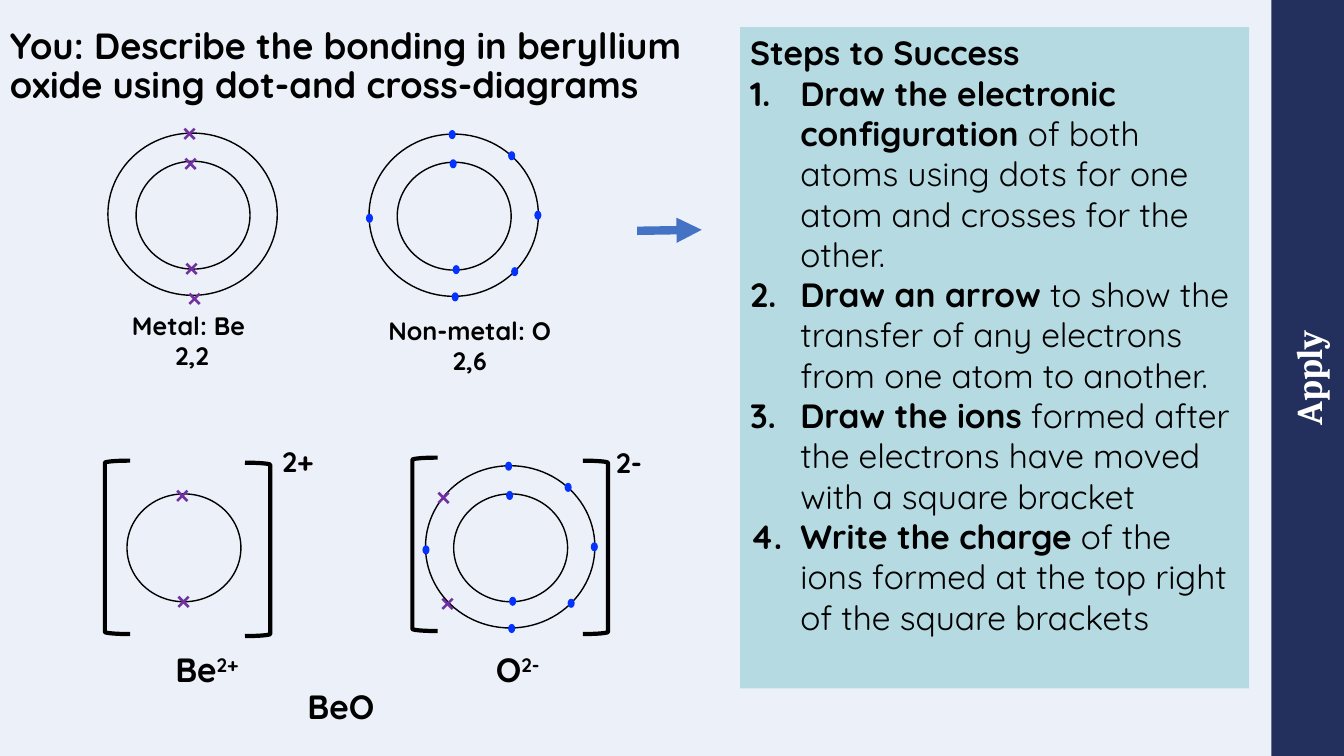
from dataclasses import dataclass

from lxml.etree import SubElement
from pptx import Presentation
from pptx.dml.color import RGBColor
from pptx.enum.shapes import MSO_CONNECTOR as Connector, MSO_SHAPE as Preset
from pptx.enum.text import MSO_ANCHOR as Anchor, MSO_AUTO_SIZE as AutoSize, PP_ALIGN as Align
from pptx.oxml.ns import qn
from pptx.util import Inches, Pt


@dataclass(frozen=True)
class Theme:
    ink: str = "000000"
    white: str = "FFFFFF"
    backdrop: str = "ECF1F9"
    navy: str = "232F5D"
    teal: str = "009193"
    cross: str = "7030A0"
    dot: str = "0432FF"
    arrow: str = "4472C4"
    sans: str = "Quicksand"
    serif: str = "Cambria"
    title: int = 26
    body: int = 24
    charge: int = 20
    caption: int = 18


@dataclass(frozen=True)
class Box:
    left: float
    top: float
    width: float
    height: float

    def emu(self) -> tuple:
        return tuple(Inches(v) for v in (self.left, self.top, self.width, self.height))


@dataclass(frozen=True)
class Label:
    text: str
    box: Box
    size: int
    superscript: str = ""
    font: str = "Quicksand"
    color: str = "000000"
    align: Align = Align.LEFT


@dataclass(frozen=True)
class Step:
    lead: str
    rest: str


THEME = Theme()
OUTER = (1.68, 1.61)
INNER = (1.13, 1.07)
SHELL_GAP = 0.28
DOT = (0.07, 0.09)
CROSS = (0.4, 0.44)
BRACKET = (0.25, 1.72)

# Oxygen electrons, measured from the corner of the outer shell
OXYGEN_DOTS = [(0.8, 0.25), (0.83, 1.3), (0.82, 1.57), (0.79, -0.04),
               (1.64, 0.76), (-0.03, 0.79), (1.38, 0.17), (1.41, 1.32)]
OXYGEN_ATOM, OXYGEN_ION = (3.66, 1.33), (4.22, 4.62)
BERYLLIUM_ATOM, BERYLLIUM_ION_SHELL = (1.07, 1.32), (1.26, 4.9)

CROSSES = [(1.71, 1.38), (1.72, 2.43), (1.7, 1.09), (1.75, 2.72),
           (1.63, 4.68), (1.64, 5.73), (4.22, 4.7), (4.26, 5.75)]

BRACKETS = [(Preset.LEFT_BRACKET, 1.04, 4.57), (Preset.RIGHT_BRACKET, 2.43, 4.59),
            (Preset.LEFT_BRACKET, 4.09, 4.54), (Preset.RIGHT_BRACKET, 5.78, 4.57)]

LABELS = [
    Label("Metal: Be \n2,2", Box(1.2, 3.03, 1.41, 0.71), THEME.caption, align=Align.CENTER),
    Label("Non-metal: O\n2,6", Box(3.73, 3.08, 1.86, 0.71), THEME.caption, align=Align.CENTER),
    Label("2+", Box(2.7, 4.36, 0.53, 0.44), THEME.charge),
    Label("2-", Box(6.01, 4.37, 0.48, 0.44), THEME.charge),
    Label("Be", Box(1.64, 6.39, 0.87, 0.5), THEME.body, "2+"),
    Label("O", Box(4.82, 6.39, 0.71, 0.5), THEME.body, "2-"),
    Label("BeO", Box(2.95, 6.76, 0.89, 0.5), THEME.body),
]

STEPS = [
    Step("Draw the electronic configuration ",
         "of both atoms using dots for one atom and crosses for the other."),
    Step("Draw an arrow ", "to show the transfer of any electrons from one atom to another."),
    Step("Draw the ions", " formed after the electrons have moved with a square bracket"),
    Step("Write the charge ", "of the ions formed at the top right of the square brackets"),
]


def style_run(run, size: int, color: str = THEME.ink, font: str = THEME.sans,
              bold: bool = True) -> None:
    run.font.size, run.font.name, run.font.bold = Pt(size), font, bold
    run.font.color.rgb = RGBColor.from_string(color)


def add_preset(slide, preset: Preset, box: Box, fill: str = "", line_width: float = 0):
    shape = slide.shapes.add_shape(preset, *box.emu())
    shape.shadow.inherit = False
    if fill:
        shape.fill.solid()
        shape.fill.fore_color.rgb = RGBColor.from_string(fill)
    else:
        shape.fill.background()
    if line_width:
        shape.line.color.rgb = RGBColor.from_string(THEME.ink)
        shape.line.width = Pt(line_width)
    else:
        shape.line.fill.background()
    return shape


def add_label(slide, label: Label) -> None:
    frame = slide.shapes.add_textbox(*label.box.emu()).text_frame
    frame.word_wrap = False
    frame.auto_size = AutoSize.SHAPE_TO_FIT_TEXT
    frame.text = label.text
    for paragraph in frame.paragraphs:
        paragraph.alignment = label.align
        style_run(paragraph.runs[0], label.size, label.color, label.font)
    if label.superscript:
        charge = frame.paragraphs[0].add_run()
        charge.text = label.superscript
        style_run(charge, label.size, label.color, label.font)
        charge.font._element.set("baseline", "30000")


def add_shells(slide, left: float, top: float) -> None:
    """Draw the two electron shells of an atom, outer corner at left, top."""
    add_preset(slide, Preset.OVAL, Box(left, top, *OUTER), line_width=1)
    add_preset(slide, Preset.OVAL, Box(left + SHELL_GAP, top + SHELL_GAP, *INNER), line_width=1)


def add_oxygen(slide, left: float, top: float) -> None:
    add_shells(slide, left, top)
    for dx, dy in OXYGEN_DOTS:
        add_preset(slide, Preset.OVAL, Box(left + dx, top + dy, *DOT), THEME.dot)


def add_title(slide) -> None:
    frame = slide.shapes.add_textbox(*Box(0, 0.27, 7.35, 0.79).emu()).text_frame
    frame.word_wrap = True
    frame.vertical_anchor = Anchor.MIDDLE
    frame.text = "You: Describe the bonding in beryllium oxide using dot-and cross-diagrams"
    frame.paragraphs[0].line_spacing = 0.9
    style_run(frame.paragraphs[0].runs[0], THEME.title)


def add_sidebar(slide) -> None:
    sidebar = add_preset(slide, Preset.RECTANGLE, Box(9.22, 3.39, 7.5, 0.72), THEME.navy)
    sidebar.rotation = 270
    frame = sidebar.text_frame
    frame.margin_left = frame.margin_right = frame.margin_top = frame.margin_bottom = 0
    frame.vertical_anchor = Anchor.MIDDLE
    frame.text = "Apply"
    frame.paragraphs[0].alignment = Align.CENTER
    style_run(frame.paragraphs[0].runs[0], THEME.title, THEME.white, THEME.serif)


def add_steps(slide) -> None:
    panel = add_preset(slide, Preset.RECTANGLE, Box(7.34, 0.27, 5.05, 6.56), THEME.teal)
    tint = panel._element.spPr.find(qn("a:solidFill"))[0]
    SubElement(tint, qn("a:alpha"), val="23000")
    frame = panel.text_frame
    frame.word_wrap = True
    frame.vertical_anchor = Anchor.TOP
    frame.text = "Steps to Success"
    frame.paragraphs[0].alignment = Align.LEFT
    style_run(frame.paragraphs[0].runs[0], THEME.body)
    for step in STEPS:
        paragraph = frame.add_paragraph()
        paragraph.alignment = Align.LEFT
        properties = paragraph._p.get_or_add_pPr()
        properties.set("marL", str(Inches(0.5)))
        properties.set("indent", str(-Inches(0.5)))
        SubElement(properties, qn("a:buFont"), typeface="+mj-lt")
        SubElement(properties, qn("a:buAutoNum"), type="arabicPeriod")
        for text, bold in ((step.lead, True), (step.rest, False)):
            run = paragraph.add_run()
            run.text = text
            style_run(run, THEME.body, bold=bold)


def add_arrow(slide) -> None:
    arrow = slide.shapes.add_connector(Connector.STRAIGHT, Inches(6.32), Inches(2.29),
                                       Inches(6.96), Inches(2.28))
    arrow.line.color.rgb = RGBColor.from_string(THEME.arrow)
    arrow.line.width = Pt(6)
    SubElement(arrow.line._get_or_add_ln(), qn("a:tailEnd"), type="triangle")
    SubElement(arrow._element.spPr, qn("a:effectLst"))


def main() -> None:
    deck = Presentation()
    deck.slide_width, deck.slide_height = Inches(13.33), Inches(7.5)
    slide = deck.slides.add_slide(deck.slide_layouts[6])
    slide.background.fill.solid()
    slide.background.fill.fore_color.rgb = RGBColor.from_string(THEME.backdrop)
    add_sidebar(slide)
    add_title(slide)
    add_steps(slide)
    add_shells(slide, *BERYLLIUM_ATOM)
    add_preset(slide, Preset.OVAL, Box(*BERYLLIUM_ION_SHELL, *INNER), line_width=1)
    for preset, left, top in BRACKETS:
        add_preset(slide, preset, Box(left, top, *BRACKET), line_width=3)
    for corner in (OXYGEN_ATOM, OXYGEN_ION):
        add_oxygen(slide, *corner)
    for corner in CROSSES:
        add_label(slide, Label("×", Box(*corner, *CROSS), THEME.charge,
                               font=THEME.serif, color=THEME.cross))
    for label in LABELS:
        add_label(slide, label)
    add_arrow(slide)
    deck.save("out.pptx")


if __name__ == "__main__":
    main()
